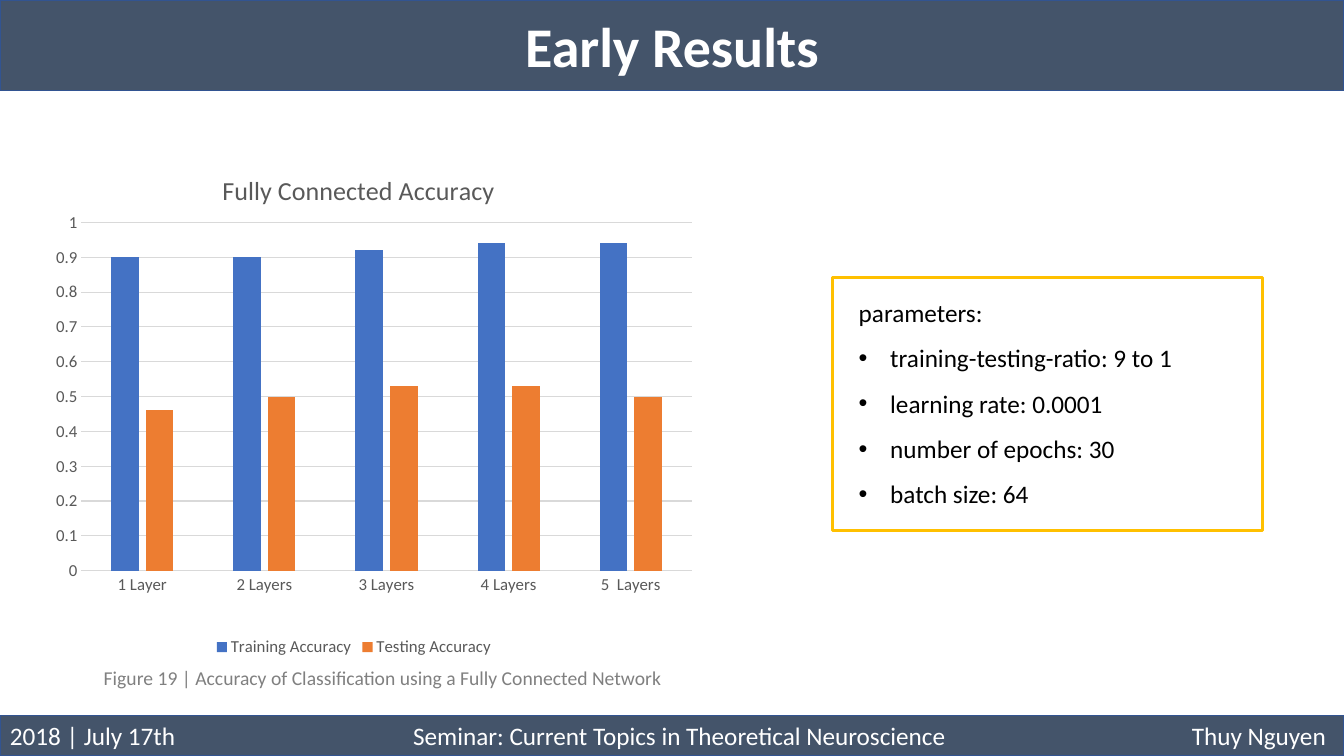
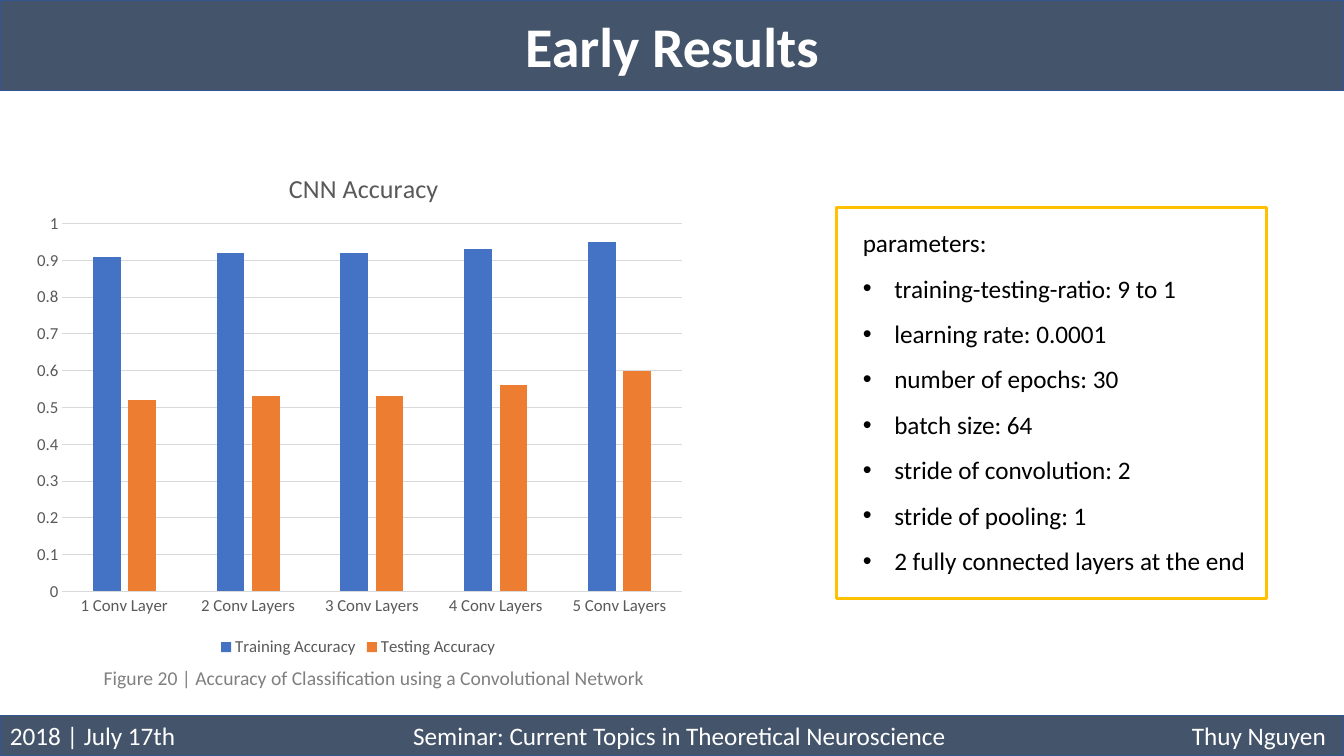
"""Builds two slides of early accuracy results, each with a column chart and its parameters."""
from lxml.etree import SubElement
from pptx import Presentation
from pptx.chart.data import CategoryChartData
from pptx.dml.color import RGBColor
from pptx.enum.chart import XL_CHART_TYPE as ChartType
from pptx.enum.chart import XL_LEGEND_POSITION as LegendPosition
from pptx.enum.chart import XL_TICK_MARK as TickMark
from pptx.enum.shapes import MSO_SHAPE as Shape
from pptx.enum.text import MSO_ANCHOR as Anchor
from pptx.enum.text import MSO_AUTO_SIZE as AutoSize
from pptx.enum.text import PP_ALIGN as Align
from pptx.oxml.ns import qn
from pptx.util import Pt

FONT = "Calibri"
WIDTH, HEIGHT = 960, 540
COLORS = {
    "band": "44546A",
    "band_line": "325491",
    "white": "FFFFFF",
    "text": "000000",
    "caption": "808080",
    "chart_text": "595959",
    "grid": "D9D9D9",
    "frame": "FFC000",
    "training": "4472C4",
    "testing": "ED7D31",
}
TITLE_BOX = (0, 0, WIDTH, 64.8)
FOOTER_BOX = (0, 511.2, WIDTH, 28.8)
CAPTION_BOX = (67, 472.3, 428.4, 24.5)
FOOTER_PARTS = (
    "2018 | July 17th",
    "Seminar: Current Topics in Theoretical Neuroscience",
    "Thuy Nguyen",
)
FOOTER_TABS = ((288, "l"), (940, "r"))
COMMON_PARAMETERS = [
    "training-testing-ratio: 9 to 1",
    "learning rate: 0.0001",
    "number of epochs: 30",
    "batch size: 64",
]
RESULTS = [
    {
        "title": "Fully Connected Accuracy",
        "chart_box": (9.4, 105, 486.7, 367.3),
        "title_place": (0.3, 0.04),
        "plot_place": (0.1, 0.147, 0.896, 0.677),
        "categories": ["1 Layer", "2 Layers", "3 Layers", "4 Layers", "5  Layers"],
        "training": (0.9, 0.9, 0.92, 0.94, 0.94),
        "testing": (0.46, 0.5, 0.53, 0.53, 0.5),
        "caption": "Figure 19 | Accuracy of Classification using a Fully Connected Network",
        "frame_box": (594.7, 198, 307.4, 180.7),
        "parameters": COMMON_PARAMETERS,
    },
    {
        "title": "CNN Accuracy",
        "chart_box": (15.8, 103.7, 480.2, 368.6),
        "title_place": (0.39, 0.04),
        "plot_place": (0.06, 0.152, 0.921, 0.713),
        "categories": ["1 Conv Layer"] + [f"{count} Conv Layers" for count in range(2, 6)],
        "training": (0.91, 0.92, 0.92, 0.93, 0.95),
        "testing": (0.52, 0.53, 0.53, 0.56, 0.6),
        "caption": "Figure 20 | Accuracy of Classification using a Convolutional Network",
        "frame_box": (597.6, 148.3, 307.4, 279.4),
        "parameters": COMMON_PARAMETERS + [
            "stride of convolution: 2",
            "stride of pooling: 1",
            "2 fully connected layers at the end",
        ],
    },
]


def color(name):
    return RGBColor.from_string(COLORS[name])


def points(box):
    return [Pt(value) for value in box]


def style_font(font, size, color_name, bold=False):
    font.name = FONT
    font.size = Pt(size)
    font.bold = bold
    font.color.rgb = color(color_name)


def add_run(paragraph, text, size, color_name, bold=False):
    run = paragraph.add_run()
    run.text = text
    style_font(run.font, size, color_name, bold)


def style_line(line, color_name, width):
    line.color.rgb = color(color_name)
    line.width = Pt(width)


def style_band(shape):
    shape.fill.solid()
    shape.fill.fore_color.rgb = color("band")
    style_line(shape.line, "band_line", 1)


def add_rectangle(slide, box):
    shape = slide.shapes.add_shape(Shape.RECTANGLE, *points(box))
    shape.shadow.inherit = False
    shape.text_frame.word_wrap = True
    return shape


def add_title(slide, box, text):
    title = slide.shapes.title
    title.left, title.top, title.width, title.height = points(box)
    style_band(title)
    frame = title.text_frame
    frame.auto_size = AutoSize.NONE
    frame.vertical_anchor = Anchor.MIDDLE
    paragraph = frame.paragraphs[0]
    paragraph.alignment = Align.CENTER
    add_run(paragraph, text, 40, "white", bold=True)


def add_footer(slide, box):
    band = add_rectangle(slide, box)
    style_band(band)
    band.text_frame.vertical_anchor = Anchor.MIDDLE
    paragraph = band.text_frame.paragraphs[0]
    paragraph.alignment = Align.LEFT
    tabs = SubElement(paragraph._p.get_or_add_pPr(), qn("a:tabLst"))
    for position, alignment in FOOTER_TABS:
        SubElement(tabs, qn("a:tab"), pos=str(Pt(position)), algn=alignment)
    add_run(paragraph, "\t".join(FOOTER_PARTS), 18, "white")


def add_caption(slide, box, text):
    caption = slide.shapes.add_textbox(*points(box))
    caption.text_frame.word_wrap = True
    add_run(caption.text_frame.paragraphs[0], text, 14, "caption")


def add_bullet(paragraph):
    properties = paragraph._p.get_or_add_pPr()
    properties.set("marL", str(Pt(22.5)))
    properties.set("indent", str(-Pt(22.5)))
    SubElement(properties, qn("a:buFont"), typeface="Arial")
    SubElement(properties, qn("a:buChar"), char="•")


def add_parameters(slide, box, parameters):
    shape = add_rectangle(slide, box)
    shape.fill.background()
    style_line(shape.line, "frame", 2.25)
    frame = shape.text_frame
    frame.vertical_anchor = Anchor.TOP
    frame.margin_left = Pt(18.7)
    for index, text in enumerate(["parameters:"] + parameters):
        paragraph = frame.add_paragraph() if index else frame.paragraphs[0]
        if index:
            add_bullet(paragraph)
        paragraph.alignment = Align.LEFT
        paragraph.line_spacing = 1.5
        add_run(paragraph, text, 18, "text")


def set_layout(parent, place, inner=False):
    layout = parent.find(qn("c:layout"))
    if layout is None:
        layout = SubElement(parent, qn("c:layout"))
        parent.insert(0, layout)
    manual = SubElement(layout, qn("c:manualLayout"))
    if inner:
        SubElement(manual, qn("c:layoutTarget"), val="inner")
    for mode in ("xMode", "yMode"):
        SubElement(manual, qn(f"c:{mode}"), val="edge")
    for key, value in zip("xywh", place):
        SubElement(manual, qn(f"c:{key}"), val=str(value))


def style_axes(chart):
    for axis in (chart.category_axis, chart.value_axis):
        axis.major_tick_mark = axis.minor_tick_mark = TickMark.NONE
        style_font(axis.tick_labels.font, 12, "chart_text")
    style_line(chart.category_axis.format.line, "grid", 0.75)
    value_axis = chart.value_axis
    value_axis.minimum_scale, value_axis.maximum_scale = 0, 1
    value_axis.major_unit = 0.1
    value_axis.format.line.fill.background()
    style_line(value_axis.major_gridlines.format.line, "grid", 0.75)


def add_accuracy_chart(slide, box, result):
    data = CategoryChartData()
    data.categories = result["categories"]
    data.add_series("Training Accuracy", result["training"])
    data.add_series("Testing Accuracy", result["testing"])
    chart = slide.shapes.add_chart(ChartType.COLUMN_CLUSTERED, *points(box), data).chart
    style_font(chart.font, 10, "text")
    style_axes(chart)

    plot = chart.plots[0]
    plot.gap_width, plot.overlap = 219, -27
    plot.vary_by_categories = False
    for series, name in zip(plot.series, ("training", "testing")):
        series.format.fill.solid()
        series.format.fill.fore_color.rgb = color(name)
    set_layout(chart._chartSpace.chart.plotArea, result["plot_place"], inner=True)

    chart.has_title = True
    title = chart.chart_title
    add_run(title.text_frame.paragraphs[0], result["title"], 18.6, "chart_text")
    set_layout(title._element, result["title_place"])

    chart.has_legend = True
    chart.legend.position = LegendPosition.BOTTOM
    chart.legend.include_in_layout = False
    style_font(chart.legend.font, 12, "chart_text")


def add_result_slide(presentation, result):
    slide = presentation.slides.add_slide(presentation.slide_layouts[5])
    add_title(slide, TITLE_BOX, "Early Results")
    add_footer(slide, FOOTER_BOX)
    add_accuracy_chart(slide, result["chart_box"], result)
    add_caption(slide, CAPTION_BOX, result["caption"])
    add_parameters(slide, result["frame_box"], result["parameters"])


def main():
    presentation = Presentation()
    presentation.slide_width, presentation.slide_height = Pt(WIDTH), Pt(HEIGHT)
    for result in RESULTS:
        add_result_slide(presentation, result)
    presentation.save("out.pptx")


if __name__ == "__main__":
    main()
